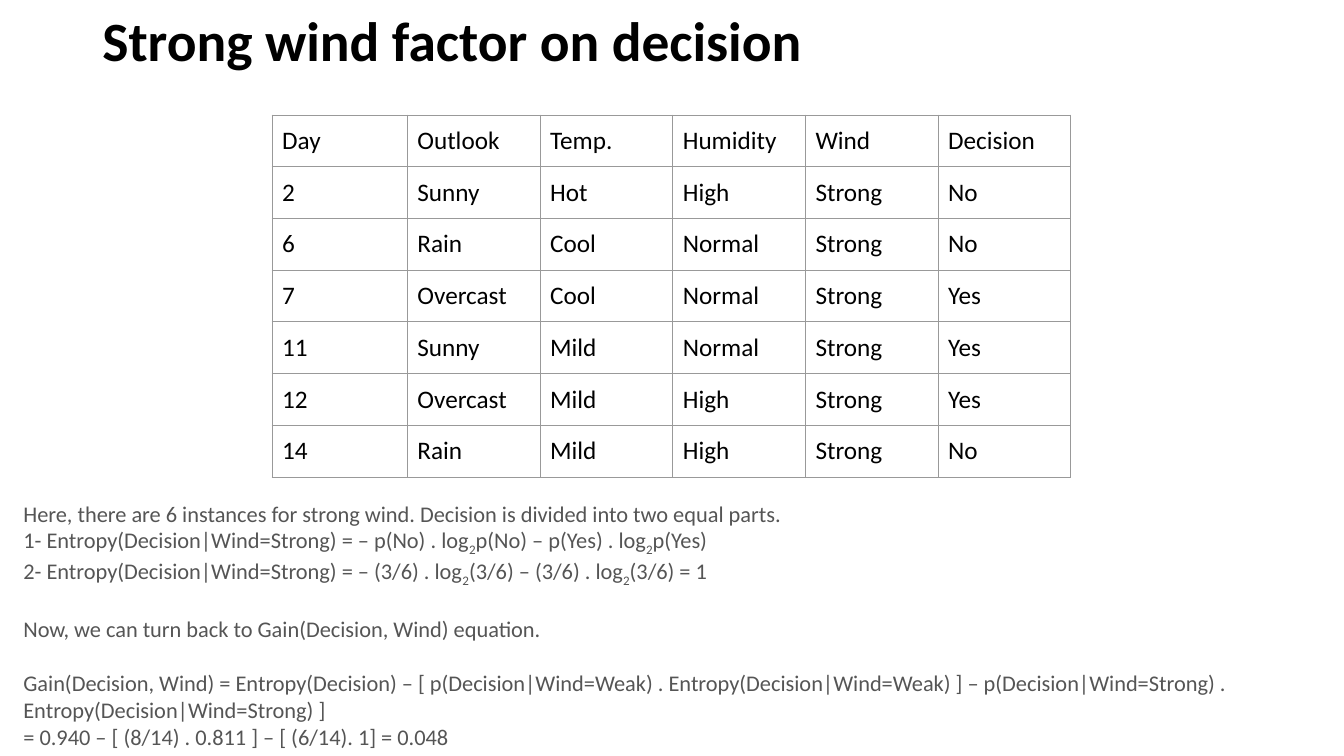
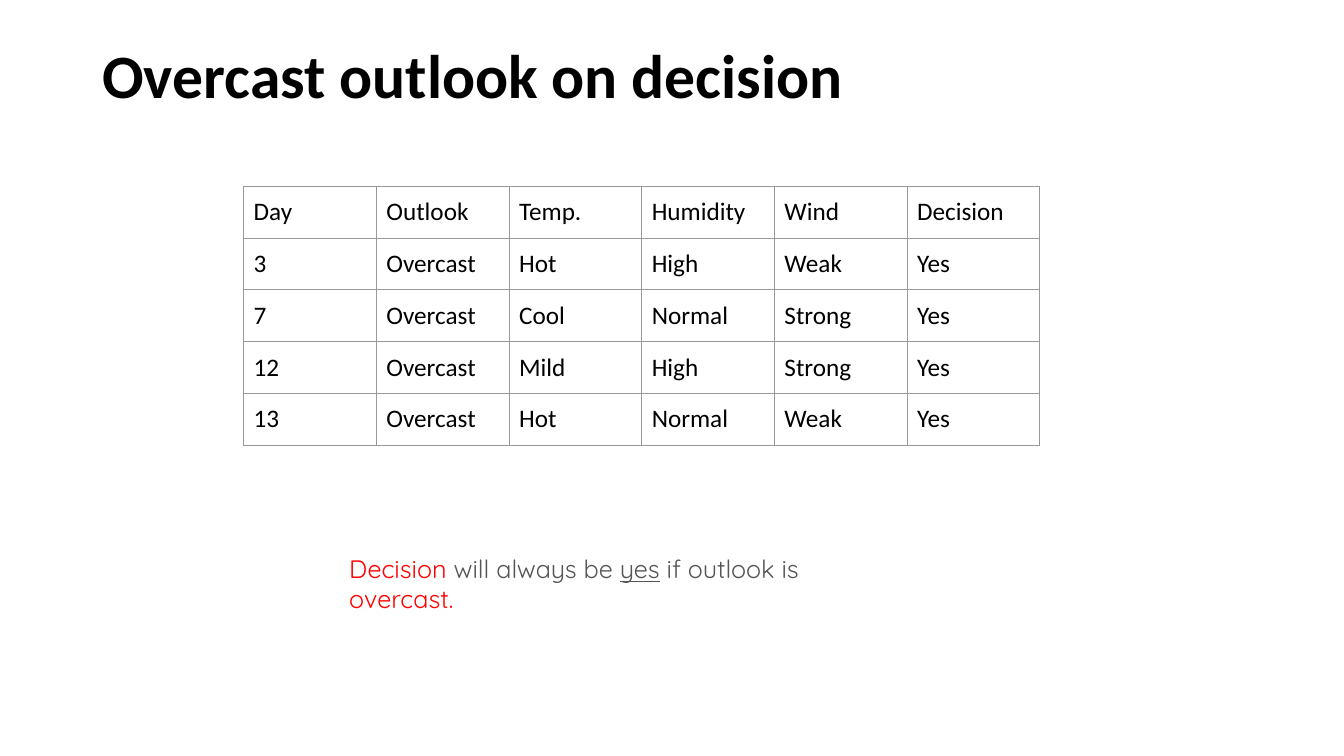
from dataclasses import dataclass
from typing import NamedTuple

from lxml.etree import SubElement
from pptx import Presentation
from pptx.dml.color import RGBColor
from pptx.enum.text import MSO_ANCHOR
from pptx.oxml import parse_xml
from pptx.oxml.ns import nsdecls, qn
from pptx.util import Emu, Inches, Pt

SLIDE_WIDTH, SLIDE_HEIGHT = Inches(13.33), Inches(7.5)
GRID_COLUMNS, GRID_ROWS = 160, 90
BLACK, GREY, RED, WHITE, BORDER = "000000", "555555", "FF0000", "FFFFFF", "999999"
TITLE_FONT = BODY_FONT = "Calibri"
NOTE_FONT = "Quicksand"
CELL_WIDTH, CELL_HEIGHT = 15.8, 6.16
CELL_MARGIN = Inches(0.1)
HEADINGS = "Day Outlook Temp. Humidity Wind Decision"


class Box(NamedTuple):
    left: float
    top: float
    width: float
    height: float


@dataclass(frozen=True)
class Piece:
    text: str
    color: str = GREY
    subscript: bool = False
    underline: bool = False


@dataclass(frozen=True)
class Line:
    pieces: tuple[Piece, ...]
    space_before: float = 0


@dataclass(frozen=True)
class TextBlock:
    box: Box
    lines: tuple[Line, ...]
    size: float
    font: str = BODY_FONT
    bold: bool = False
    line_spacing: float = 1.0


@dataclass(frozen=True)
class DataTable:
    left: float
    top: float
    rows: tuple[str, ...]
    first_width: float = CELL_WIDTH


@dataclass(frozen=True)
class DecisionSlide:
    title: TextBlock
    table: DataTable
    body: TextBlock


def across(columns: float) -> Emu:
    return Emu(round(SLIDE_WIDTH * columns / GRID_COLUMNS))


def down(rows: float) -> Emu:
    return Emu(round(SLIDE_HEIGHT * rows / GRID_ROWS))


def color_of(code: str) -> RGBColor:
    return RGBColor.from_string(code)


def title_block(text: str, top: float, height: float, size: float) -> TextBlock:
    line = Line((Piece(text, BLACK),))
    return TextBlock(Box(11, top, 138, height), (line,), size, TITLE_FONT, True, 0.9)


def plain(text: str, space_before: float = 0) -> Line:
    return Line((Piece(text),), space_before)


def entropy_line(start: str, middle: str, end: str) -> Line:
    base = Piece("2", subscript=True)
    return Line((Piece(start), base, Piece(middle), base, Piece(end)))


def add_piece(paragraph, piece: Piece, size: float, font: str, bold: bool = False) -> None:
    run = paragraph.add_run()
    run.text = piece.text
    run.font.name = font
    run.font.size = Pt(size)
    run.font.bold = bold
    run.font.color.rgb = color_of(piece.color)
    if piece.underline:
        run.font.underline = True
    if piece.subscript:
        run._r.get_or_add_rPr().set("baseline", "-25000")


def add_text(slide, block: TextBlock) -> None:
    box = block.box
    shape = slide.shapes.add_textbox(
        across(box.left), down(box.top), across(box.width), down(box.height)
    )
    frame = shape.text_frame
    frame.word_wrap = True
    for index, line in enumerate(block.lines):
        paragraph = frame.add_paragraph() if index else frame.paragraphs[0]
        paragraph.line_spacing = block.line_spacing
        if line.space_before:
            paragraph.space_before = Pt(line.space_before)
        for piece in line.pieces:
            add_piece(paragraph, piece, block.size, block.font, block.bold)


def add_borders(cell) -> None:
    properties = cell._tc.get_or_add_tcPr()
    for index, side in enumerate(("lnL", "lnR", "lnT", "lnB")):
        border = parse_xml(f'<a:{side} {nsdecls("a")} w="{Pt(0.75)}"/>')
        fill = SubElement(border, qn("a:solidFill"))
        SubElement(fill, qn("a:srgbClr"), val=BORDER)
        properties.insert(index, border)


def fill_cell(cell, text: str) -> None:
    cell.fill.solid()
    cell.fill.fore_color.rgb = color_of(WHITE)
    cell.vertical_anchor = MSO_ANCHOR.MIDDLE
    cell.margin_left = cell.margin_right = CELL_MARGIN
    cell.margin_top = cell.margin_bottom = CELL_MARGIN
    add_piece(cell.text_frame.paragraphs[0], Piece(text, BLACK), 18, BODY_FONT)
    add_borders(cell)


def add_data_table(slide, data: DataTable) -> None:
    records = [row.split() for row in (HEADINGS, *data.rows)]
    widths = [data.first_width] + [CELL_WIDTH] * (len(records[0]) - 1)
    table = slide.shapes.add_table(
        len(records), len(widths), across(data.left), down(data.top),
        across(sum(widths)), down(CELL_HEIGHT * len(records)),
    ).table
    table.first_row = table.horz_banding = False
    for column, width in zip(table.columns, widths):
        column.width = across(width)
    for row, record in zip(table.rows, records):
        row.height = down(CELL_HEIGHT)
        for cell, text in zip(row.cells, record):
            fill_cell(cell, text)


SLIDES = (
    DecisionSlide(
        title_block("Strong wind factor on decision", 1, 9.7, 39.6),
        DataTable(32.4, 13.7, (
            "2 Sunny Hot High Strong No",
            "6 Rain Cool Normal Strong No",
            "7 Overcast Cool Normal Strong Yes",
            "11 Sunny Mild Normal Strong Yes",
            "12 Overcast Mild High Strong Yes",
            "14 Rain Mild High Strong No",
        ), 16.1),
        TextBlock(Box(1.6, 58.9, 152.3, 30.2), (
            plain("Here, there are 6 instances for strong wind. "
                  "Decision is divided into two equal parts."),
            entropy_line("1- Entropy(Decision|Wind=Strong) = – p(No) . log",
                         "p(No) – p(Yes) . log", "p(Yes)"),
            entropy_line("2- Entropy(Decision|Wind=Strong) = – (3/6) . log",
                         "(3/6) – (3/6) . log", "(3/6) = 1"),
            plain("Now, we can turn back to Gain(Decision, Wind) equation.", 19.5),
            plain("Gain(Decision, Wind) = Entropy(Decision) – [ p(Decision|Wind=Weak) . "
                  "Entropy(Decision|Wind=Weak) ] – p(Decision|Wind=Strong) . "
                  "Entropy(Decision|Wind=Strong) ]", 19.5),
            plain("= 0.940 – [ (8/14) . 0.811 ] – [ (6/14). 1] = 0.048"),
        ), 16),
    ),
    DecisionSlide(
        title_block("Overcast outlook on decision", 4.8, 17.4, 44),
        DataTable(29, 22.2, (
            "3 Overcast Hot High Weak Yes",
            "7 Overcast Cool Normal Strong Yes",
            "12 Overcast Mild High Strong Yes",
            "13 Overcast Hot Normal Weak Yes",
        )),
        TextBlock(Box(40.4, 65.3, 68, 4.8), (
            Line((
                Piece("Decision ", RED),
                Piece("will always be "),
                Piece("yes", underline=True),
                Piece(" if outlook is "),
                Piece("overcast.", RED),
            )),
        ), 18, NOTE_FONT),
    ),
)


def main() -> None:
    presentation = Presentation()
    presentation.slide_width = SLIDE_WIDTH
    presentation.slide_height = SLIDE_HEIGHT
    for content in SLIDES:
        slide = presentation.slides.add_slide(presentation.slide_layouts[6])
        add_text(slide, content.title)
        add_data_table(slide, content.table)
        add_text(slide, content.body)
    presentation.save("out.pptx")


if __name__ == "__main__":
    main()
